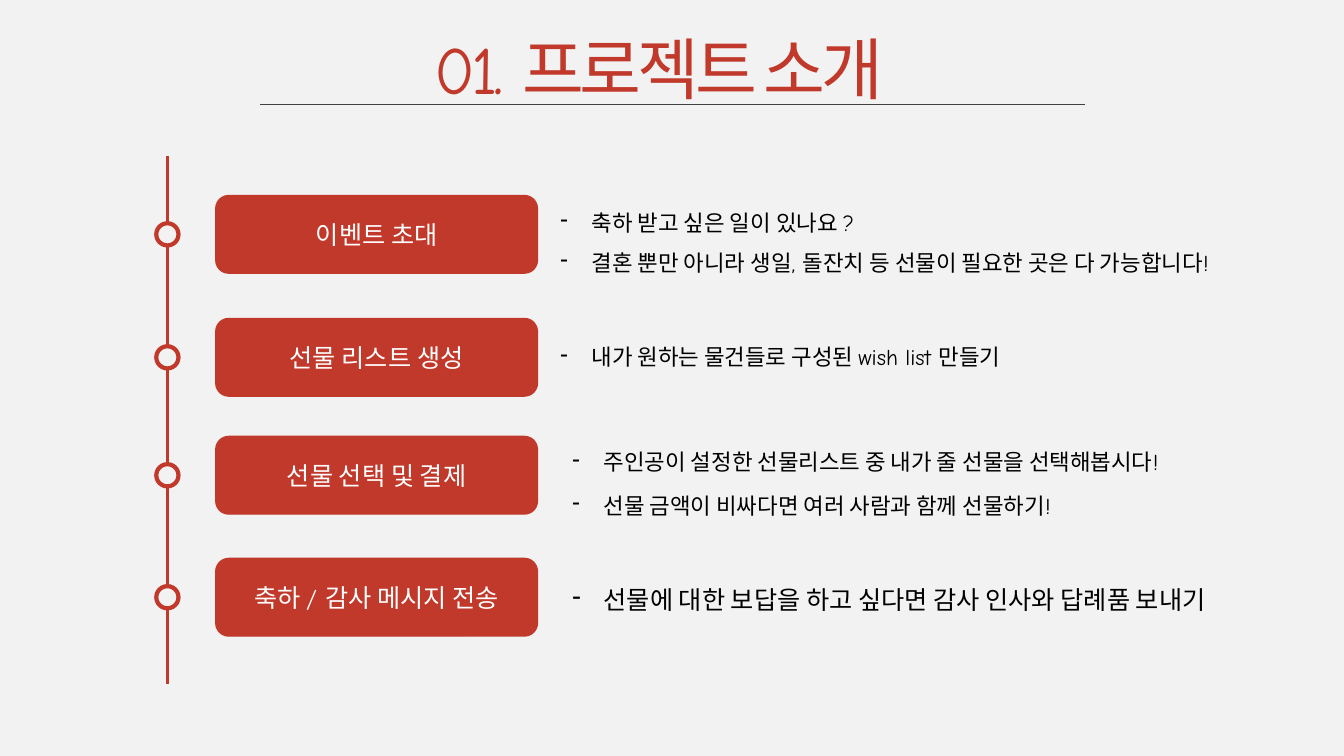
from lxml import etree
from pptx import Presentation
from pptx.dml.color import RGBColor
from pptx.enum import shapes, text
from pptx.oxml import ns
from pptx.util import Inches, Pt

RED = RGBColor(0xC0, 0x39, 0x2B)
PALE = RGBColor(0xF2, 0xF2, 0xF2)
GREY = RGBColor(0x40, 0x40, 0x40)
WHITE = RGBColor(0xFF, 0xFF, 0xFF)
BLACK = RGBColor(0, 0, 0)
FONT = "Comic Neue"

TITLE = "01. 프로젝트 소개"
STEPS = [
    dict(label="이벤트 초대", top=1.94,
         notes=["축하 받고 싶은 일이 있나요 ?",
                "결혼 뿐만 아니라 생일, 돌잔치 등 선물이 필요한 곳은 다 가능합니다!"],
         box=(5.46, 1.89, 7.55, 0.86), size=16, line_spacing=1.5, gap=0),
    dict(label="선물 리스트 생성", top=3.16,
         notes=["내가 원하는 물건들로 구성된 wish list 만들기"],
         box=(5.46, 3.36, 6.67, 0.37), size=16, line_spacing=1, gap=0),
    dict(label="선물 선택 및 결제", top=4.33,
         notes=["주인공이 설정한 선물리스트 중 내가 줄 선물을 선택해봅시다!",
                "선물 금액이 비싸다면 여러 사람과 함께 선물하기!"],
         box=(5.58, 4.4, 7.2, 0.81), size=16, line_spacing=1, gap=12),
    dict(label="축하 / 감사 메시지 전송", top=5.54,
         notes=["선물에 대한 보답을 하고 싶다면 감사 인사와 답례품 보내기"],
         box=(5.58, 5.75, 7.43, 0.4), size=18, line_spacing=1, gap=0),
]
BAR_LEFT, BAR_WIDTH, BAR_HEIGHT = 2.14, 3.19, 0.77
TIMELINE_X, MARKER = 1.66, 0.22
INDENT = Inches(0.31)


def set_font(font, size, color):
    font.name, font.size, font.color.rgb = FONT, Pt(size), color


def add_line(slide, start, end, color, width):
    line = slide.shapes.add_connector(
        shapes.MSO_CONNECTOR.STRAIGHT, *map(Inches, start + end))
    line.line.color.rgb, line.line.width = color, Pt(width)
    etree.SubElement(line._element.spPr, ns.qn("a:effectLst"))


def add_shape(slide, kind, box, fill, width):
    shape = slide.shapes.add_shape(kind, *map(Inches, box))
    shape.shadow.inherit = False
    shape.fill.solid()
    shape.fill.fore_color.rgb = fill
    shape.line.color.rgb, shape.line.width = RED, Pt(width)
    return shape


def add_text_frame(slide, box):
    frame = slide.shapes.add_textbox(*map(Inches, box)).text_frame
    frame.word_wrap = True
    frame.auto_size = text.MSO_AUTO_SIZE.SHAPE_TO_FIT_TEXT
    return frame


def add_title(slide):
    paragraph = add_text_frame(slide, (3.75, 0.22, 5.57, 0.91)).paragraphs[0]
    paragraph.alignment = text.PP_ALIGN.CENTER
    run = paragraph.add_run()
    run.text = TITLE
    set_font(run.font, 48, RED)
    run.font._element.set("spc", "-300")
    add_line(slide, (2.58, 1.04), (10.76, 1.04), GREY, 0.5)


def add_bullet(paragraph):
    properties = paragraph._p.get_or_add_pPr()
    properties.set("marL", str(INDENT))
    properties.set("indent", str(-INDENT))
    bullet = etree.Element(ns.qn("a:buChar"), char="-")
    properties.find(ns.qn("a:defRPr")).addprevious(bullet)


def add_step(slide, step):
    """Draw a timeline marker, its labelled bar and the notes beside it."""
    middle = step["top"] + BAR_HEIGHT / 2
    add_shape(slide, shapes.MSO_SHAPE.OVAL,
              (TIMELINE_X - MARKER / 2, middle - MARKER / 2, MARKER, MARKER),
              PALE, 3)
    bar = add_shape(slide, shapes.MSO_SHAPE.ROUNDED_RECTANGLE,
                    (BAR_LEFT, step["top"], BAR_WIDTH, BAR_HEIGHT), RED, 1)
    bar.text_frame.vertical_anchor = text.MSO_ANCHOR.MIDDLE
    label = bar.text_frame.paragraphs[0]
    label.text = step["label"]
    label.alignment = text.PP_ALIGN.CENTER
    set_font(label.font, 18, WHITE)

    frame = add_text_frame(slide, step["box"])
    frame.text = "\n".join(step["notes"])
    for index, paragraph in enumerate(frame.paragraphs):
        paragraph.line_spacing = step["line_spacing"]
        paragraph.space_before = Pt(step["gap"] if index else 0)
        set_font(paragraph.font, step["size"], BLACK)
        add_bullet(paragraph)


def main():
    presentation = Presentation()
    presentation.slide_width = Inches(13.33)
    presentation.slide_height = Inches(7.5)
    slide = presentation.slides.add_slide(presentation.slide_layouts[6])
    slide.background.fill.solid()
    slide.background.fill.fore_color.rgb = PALE
    add_title(slide)
    add_line(slide, (TIMELINE_X, 1.55), (TIMELINE_X, 6.79), RED, 2)
    for step in STEPS:
        add_step(slide, step)
    presentation.save("out.pptx")


if __name__ == "__main__":
    main()
